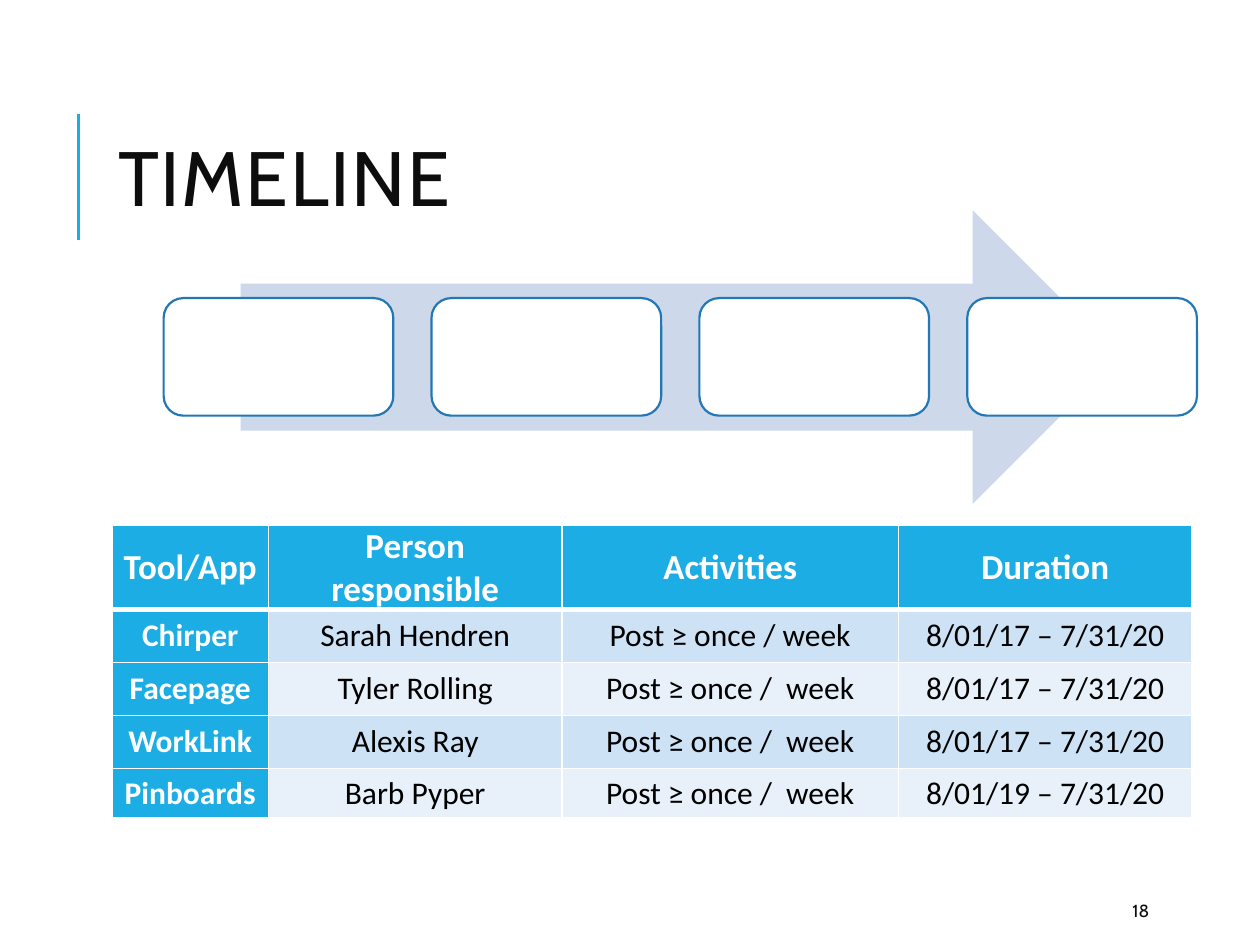
from dataclasses import dataclass

from lxml.etree import SubElement
from pptx import Presentation
from pptx.dml.color import RGBColor
from pptx.enum.shapes import MSO_CONNECTOR as Connector
from pptx.enum.shapes import MSO_SHAPE as Shape
from pptx.enum.text import MSO_ANCHOR as Anchor
from pptx.enum.text import PP_ALIGN as Align
from pptx.oxml.ns import qn
from pptx.util import Cm, Pt

ACCENT = "1CADE4"
WHITE = "FFFFFF"
BLACK = "000000"
INK = "0D0D0D"
ARROW_FILL = "CDD9EA"
BOX_LINE = "2277B4"
BANDS = ("CDE3F5", "E8F1FA")


@dataclass(frozen=True)
class Box:
    left: float
    top: float
    width: float
    height: float

    def lengths(self) -> tuple:
        return Cm(self.left), Cm(self.top), Cm(self.width), Cm(self.height)


@dataclass(frozen=True)
class TextStyle:
    size: float
    font: str
    color: str
    bold: bool = False
    align: Align = Align.LEFT


@dataclass(frozen=True)
class Task:
    tool: str
    person: str
    activity: str
    duration: str

    def values(self) -> tuple:
        return self.tool, self.person, self.activity, self.duration


TITLE_STYLE = TextStyle(44, "Cabin", INK)
NUMBER_STYLE = TextStyle(10, "Cabin", INK)
HEADER_STYLE = TextStyle(20, "Calibri", WHITE, True, Align.CENTER)
TOOL_STYLE = TextStyle(18, "Calibri", WHITE, True, Align.CENTER)
BODY_STYLE = TextStyle(18, "Calibri", BLACK, False, Align.CENTER)

ARROW = Box(4.85, 4.24, 17.72, 5.92)
FIRST_STEP = Box(3.3, 6.01, 4.63, 2.37)
STEP_COUNT = 4
STEP_PITCH = 5.4

COLUMN_WIDTHS = (3.15, 5.92, 6.78, 5.92)
ROW_HEIGHTS = (1.07, 1.07, 1.07, 1.07, 0.99)
TABLE = Box(2.26, 10.59, sum(COLUMN_WIDTHS), sum(ROW_HEIGHTS))
HEADERS = Task("Tool/App", "Person responsible", "Activities", "Duration")
TASKS = (
    Task("Chirper", "Sarah Hendren", "Post ≥ once / week", "8/01/17 – 7/31/20"),
    Task("Facepage", "Tyler Rolling", "Post ≥ once /  week", "8/01/17 – 7/31/20"),
    Task("WorkLink", "Alexis Ray", "Post ≥ once /  week", "8/01/17 – 7/31/20"),
    Task("Pinboards", "Barb Pyper", "Post ≥ once /  week", "8/01/19 – 7/31/20"),
)


def rgb(color: str) -> RGBColor:
    return RGBColor.from_string(color)


def write_text(text_frame, text: str, style: TextStyle) -> None:
    text_frame.text = text
    text_frame.word_wrap = True
    paragraph = text_frame.paragraphs[0]
    paragraph.alignment = style.align
    font = paragraph.runs[0].font
    font.size = Pt(style.size)
    font.name = style.font
    font.bold = style.bold
    font.color.rgb = rgb(style.color)


def add_title(slide, text: str) -> None:
    title = slide.shapes.title
    title.left, title.top, title.width, title.height = Box(2.13, 1.63, 20.24, 4.17).lengths()
    write_text(title.text_frame, text, TITLE_STYLE)
    title.text_frame.vertical_anchor = Anchor.MIDDLE
    paragraph = title.text_frame.paragraphs[0]
    paragraph.line_spacing = 0.8
    paragraph.runs[0]._r.get_or_add_rPr().set("spc", "100")


def add_title_rule(slide) -> None:
    rule = slide.shapes.add_connector(Connector.STRAIGHT, Cm(1.58), Cm(4.83), Cm(1.58), Cm(2.29))
    rule.line.color.rgb = rgb(ACCENT)
    rule.line.width = Pt(1.5)
    SubElement(rule._element.spPr, qn("a:effectLst"))


def add_slide_number(slide, text: str) -> None:
    number = slide.shapes.add_textbox(*Box(22.58, 17.98, 2.03, 0.76).lengths())
    write_text(number.text_frame, text, NUMBER_STYLE)
    number.text_frame.vertical_anchor = Anchor.MIDDLE


def add_filled_shape(shapes, kind: Shape, box: Box, fill: str, line: str | None = None) -> None:
    shape = shapes.add_shape(kind, *box.lengths())
    shape.shadow.inherit = False
    shape.fill.solid()
    shape.fill.fore_color.rgb = rgb(fill)
    if line is None:
        shape.line.fill.background()
    else:
        shape.line.color.rgb = rgb(line)
        shape.line.width = Pt(1.25)


def add_process(slide) -> None:
    shapes = slide.shapes.add_group_shape().shapes
    add_filled_shape(shapes, Shape.RIGHT_ARROW, ARROW, ARROW_FILL)
    for index in range(STEP_COUNT):
        left = FIRST_STEP.left + index * STEP_PITCH
        box = Box(left, FIRST_STEP.top, FIRST_STEP.width, FIRST_STEP.height)
        add_filled_shape(shapes, Shape.ROUNDED_RECTANGLE, box, WHITE, BOX_LINE)


def set_borders(cell, top: float, bottom: float) -> None:
    properties = cell._tc.get_or_add_tcPr()
    for side, width in (("L", 1), ("R", 1), ("T", top), ("B", bottom)):
        line = SubElement(properties, qn(f"a:ln{side}"), w=str(Pt(width)))
        SubElement(SubElement(line, qn("a:solidFill")), qn("a:srgbClr"), val=WHITE)


def format_cell(cell, text: str, row: int, column: int) -> None:
    if row == 0:
        style, fill = HEADER_STYLE, ACCENT
    elif column == 0:
        style, fill = TOOL_STYLE, ACCENT
    else:
        style, fill = BODY_STYLE, BANDS[(row - 1) % len(BANDS)]
    write_text(cell.text_frame, text, style)
    cell.vertical_anchor = Anchor.MIDDLE
    cell.margin_left = cell.margin_right = Cm(0.22)
    cell.margin_top = cell.margin_bottom = 0
    set_borders(cell, top=3 if row == 1 else 1, bottom=3 if row == 0 else 1)
    cell.fill.solid()
    cell.fill.fore_color.rgb = rgb(fill)


def add_task_table(slide) -> None:
    frame = slide.shapes.add_table(len(ROW_HEIGHTS), len(COLUMN_WIDTHS), *TABLE.lengths())
    table = frame.table
    for column, width in zip(table.columns, COLUMN_WIDTHS):
        column.width = Cm(width)
    for row, height in zip(table.rows, ROW_HEIGHTS):
        row.height = Cm(height)
    for row_index, task in enumerate((HEADERS, *TASKS)):
        for column_index, text in enumerate(task.values()):
            format_cell(table.cell(row_index, column_index), text, row_index, column_index)


def main() -> None:
    presentation = Presentation()
    presentation.slide_width = Cm(25.4)
    presentation.slide_height = Cm(19.05)
    slide = presentation.slides.add_slide(presentation.slide_layouts[5])
    add_title_rule(slide)
    add_title(slide, "TIMELINE")
    add_slide_number(slide, "18")
    add_process(slide)
    add_task_table(slide)
    presentation.save("out.pptx")


if __name__ == "__main__":
    main()
